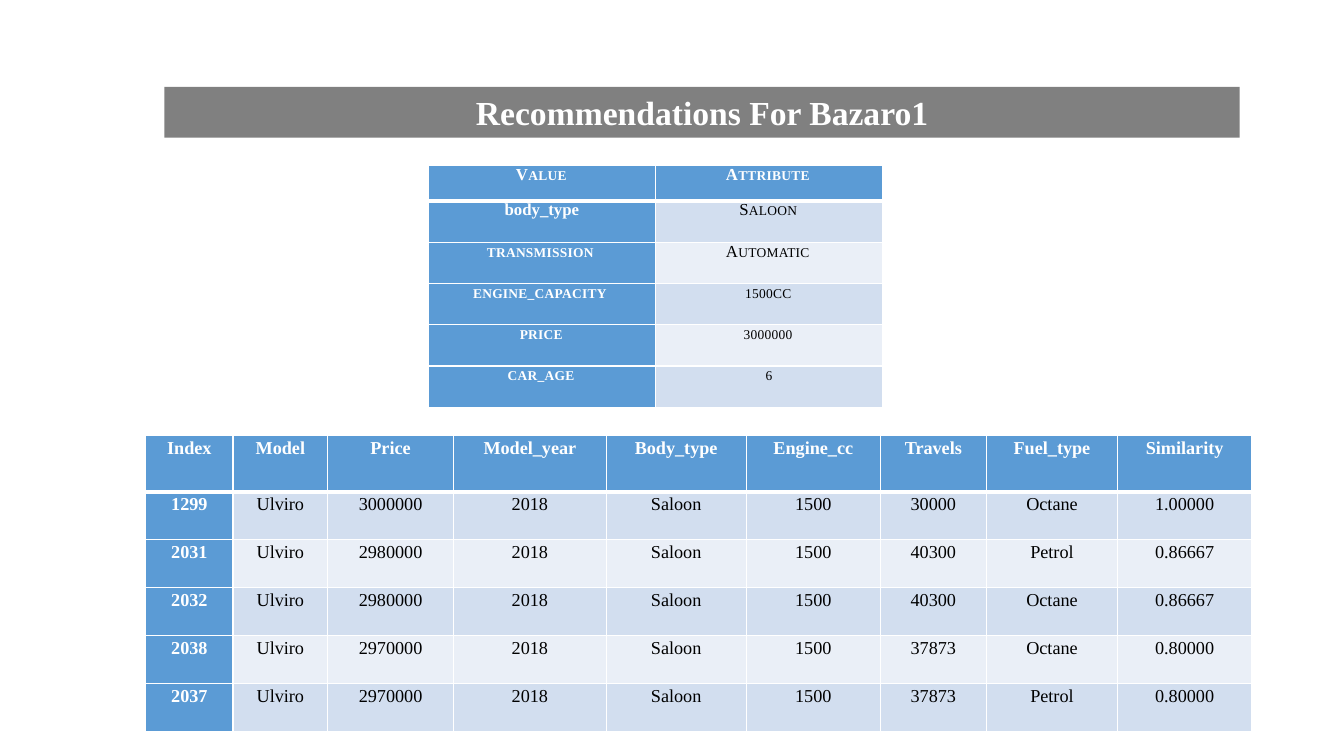
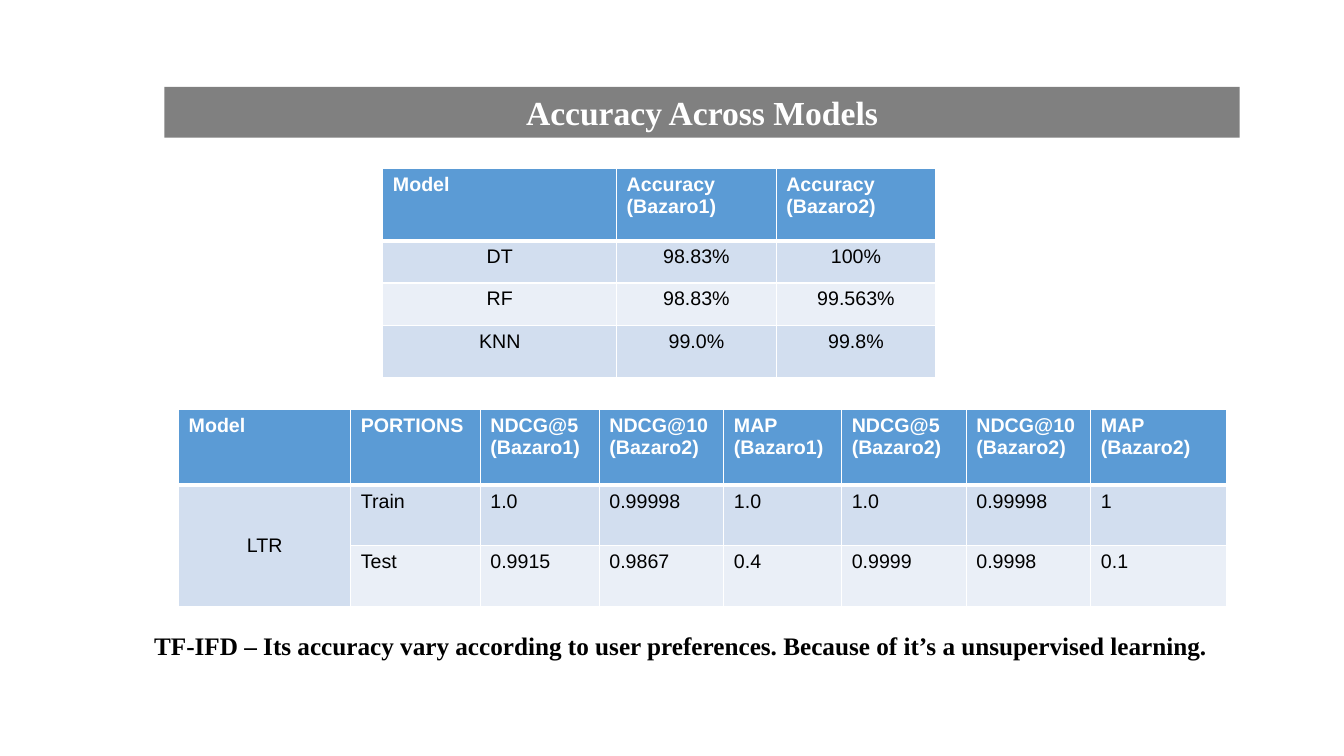
from dataclasses import dataclass, field

from lxml.etree import SubElement
from pptx import Presentation
from pptx.dml.color import RGBColor
from pptx.enum.text import MSO_ANCHOR as Anchor, MSO_AUTO_SIZE as AutoSize, PP_ALIGN as Align
from pptx.oxml.ns import qn
from pptx.util import Pt


@dataclass(frozen=True)
class Theme:
    band = RGBColor(0x80, 0x80, 0x80)
    header = RGBColor(0x5B, 0x9B, 0xD5)
    stripes = (RGBColor(0xD2, 0xDE, 0xEF), RGBColor(0xEA, 0xEF, 0xF7))
    light = RGBColor(0xFF, 0xFF, 0xFF)
    dark = RGBColor(0, 0, 0)
    serif = "Times New Roman"
    sans = "Arial"
    title_size = 24
    note_size = 18
    rule = 1
    header_rule = 3


THEME = Theme()


@dataclass(frozen=True)
class TableLook:
    font: str
    size: float
    header_align: Align = Align.CENTER
    body_align: Align = Align.CENTER
    label_column: bool = False
    margins: dict = field(default_factory=dict)
    paragraph: dict = field(default_factory=dict)
    small_caps: bool = False
    plain_words: tuple = ()


TIGHT = dict(margin_left=Pt(5.4), margin_right=Pt(5.4), margin_top=0, margin_bottom=0)
ATTRIBUTES = TableLook(THEME.serif, 12, label_column=True, margins=TIGHT,
                       small_caps=True, plain_words=("body_type",))
MATCHES = TableLook(THEME.serif, 13, label_column=True, margins=TIGHT,
                    paragraph=dict(line_spacing=1.15, space_after=Pt(12)))
ACCURACY = TableLook(THEME.sans, 14, header_align=Align.LEFT)
RANKING = TableLook(THEME.sans, 14, header_align=Align.LEFT, body_align=Align.LEFT)


def apply(target, values):
    for name, value in values.items():
        setattr(target, name, value)


def set_font(font, color, **values):
    apply(font, values)
    font.color.rgb = color


def set_borders(cell, top, bottom):
    """Draw white cell edges; call before filling, as edges precede the fill."""
    properties = cell._tc.get_or_add_tcPr()
    widths = {"a:lnL": THEME.rule, "a:lnR": THEME.rule, "a:lnT": top, "a:lnB": bottom}
    for tag, width in widths.items():
        edge = SubElement(properties, qn(tag), w=str(Pt(width)))
        SubElement(SubElement(edge, qn("a:solidFill")), qn("a:srgbClr"), val=str(THEME.light))


class Deck:
    def __init__(self, theme):
        self.theme = theme
        self.presentation = Presentation()
        apply(self.presentation, dict(slide_width=Pt(960), slide_height=Pt(540)))
        self.slide = None

    def add_slide(self, heading):
        self.slide = self.presentation.slides.add_slide(self.presentation.slide_layouts[5])
        title = self.slide.shapes.title
        apply(title, dict(left=Pt(117.5), top=Pt(62), width=Pt(768), height=Pt(36.35)))
        title.fill.solid()
        title.fill.fore_color.rgb = self.theme.band
        apply(title.text_frame, dict(text=heading, word_wrap=True, auto_size=AutoSize.NONE,
                                     vertical_anchor=Anchor.MIDDLE))
        paragraph = title.text_frame.paragraphs[0]
        paragraph.alignment = Align.CENTER
        set_font(paragraph.runs[0].font, self.theme.light, name=self.theme.serif,
                 size=Pt(self.theme.title_size), bold=True)

    def add_table(self, left, top, widths, heights, rows, look):
        frame = self.slide.shapes.add_table(len(rows), len(widths), Pt(left), Pt(top),
                                            Pt(sum(widths)), Pt(sum(heights)))
        table = frame.table
        table.first_col = look.label_column
        for column, width in zip(table.columns, widths):
            column.width = Pt(width)
        for row, height in zip(table.rows, heights):
            row.height = Pt(height)
        for r, values in enumerate(rows):
            for c, value in enumerate(values):
                self.format_cell(table.cell(r, c), value, r, c, look)
        return table

    def format_cell(self, cell, value, row, column, look):
        theme = self.theme
        strong = row == 0 or (look.label_column and column == 0)
        set_borders(cell, theme.header_rule if row == 1 else theme.rule,
                    theme.header_rule if row == 0 else theme.rule)
        cell.fill.solid()
        cell.fill.fore_color.rgb = theme.header if strong else theme.stripes[(row - 1) % 2]
        apply(cell, look.margins)
        cell.text_frame.text = value
        for paragraph in cell.text_frame.paragraphs:
            paragraph.alignment = look.body_align if row else look.header_align
            apply(paragraph, look.paragraph)
            for run in paragraph.runs:
                set_font(run.font, theme.light if strong else theme.dark,
                         name=look.font, size=Pt(look.size), bold=strong)
                if look.small_caps and value not in look.plain_words:
                    caps = run._r.get_or_add_rPr()
                    caps.set("cap", "small")
                    caps.set("spc", "20")

    def add_note(self, left, top, width, height, sentence):
        frame = self.slide.shapes.add_textbox(Pt(left), Pt(top), Pt(width), Pt(height)).text_frame
        apply(frame, dict(text=sentence, word_wrap=True))
        set_font(frame.paragraphs[0].runs[0].font, self.theme.dark, name=self.theme.serif,
                 size=Pt(self.theme.note_size), bold=True)


def add_recommendations(deck):
    deck.add_slide("Recommendations For Bazaro1")
    preferences = [
        ("Value", "Attribute"),
        ("body_type", "Saloon"),
        ("transmission", "Automatic"),
        ("engine_capacity", "1500cc"),
        ("price", "3000000"),
        ("car_age", "6"),
    ]
    deck.add_table(306, 118.25, [162.2] * 2, [25.2] + [29.5] * 5, preferences, ATTRIBUTES)

    header = ("Index", "Model", "Price", "Model_year", "Body_type", "Engine_cc",
              "Travels", "Fuel_type", "Similarity")
    cars = [
        ("1299", "3000000", "30000", "Octane", "1.00000"),
        ("2031", "2980000", "40300", "Petrol", "0.86667"),
        ("2032", "2980000", "40300", "Octane", "0.86667"),
        ("2038", "2970000", "37873", "Octane", "0.80000"),
        ("2037", "2970000", "37873", "Petrol", "0.80000"),
    ]
    matches = [(index, "Ulviro", price, "2018", "Saloon", "1500", travels, fuel, similarity)
               for index, price, travels, fuel, similarity in cars]
    deck.add_table(104, 311, [62.5, 67.5, 90, 109, 100, 96, 75.5, 94, 95.5],
                   [40.3] + [34.3] * 5, [header] + matches, MATCHES)


def add_accuracy(deck):
    deck.add_slide("Accuracy Across Models")
    accuracy = [
        ("Model", "Accuracy (Bazaro1)", "Accuracy\n(Bazaro2)"),
        ("DT", "98.83%", "100%"),
        ("RF", "98.83%", "99.563%"),
        ("KNN", "99.0%", "99.8%"),
    ]
    deck.add_table(273.5, 120.3, [167, 114, 114], [51.6, 30.3, 30.3, 37.4], accuracy, ACCURACY)

    ranking = [
        ("Model", "PORTIONS", "NDCG@5\n(Bazaro1)", "NDCG@10\n(Bazaro2)", "MAP\n(Bazaro1)",
         "NDCG@5\n(Bazaro2)", "NDCG@10\n(Bazaro2)", "MAP\n(Bazaro2)"),
        ("LTR", "Train", "1.0", "0.99998", "1.0", "1.0", "0.99998", "1"),
        ("", "Test", "0.9915", "0.9867", "0.4", "0.9999", "0.9998", "0.1"),
    ]
    table = deck.add_table(127.6, 292.4, [123, 92.5, 85, 89, 84.2, 89, 89, 97],
                           [54.2, 43.2, 43.2], ranking, RANKING)
    ranker = table.cell(1, 0)
    ranker.merge(table.cell(2, 0))
    ranker.vertical_anchor = Anchor.MIDDLE
    ranker.text_frame.paragraphs[0].alignment = Align.CENTER

    deck.add_note(103, 446.4, 816, 29, "TF-IFD – Its accuracy vary according to user preferences. "
                                       "Because of it’s a unsupervised learning.")


def main():
    deck = Deck(THEME)
    add_recommendations(deck)
    add_accuracy(deck)
    deck.presentation.save("out.pptx")


if __name__ == "__main__":
    main()
